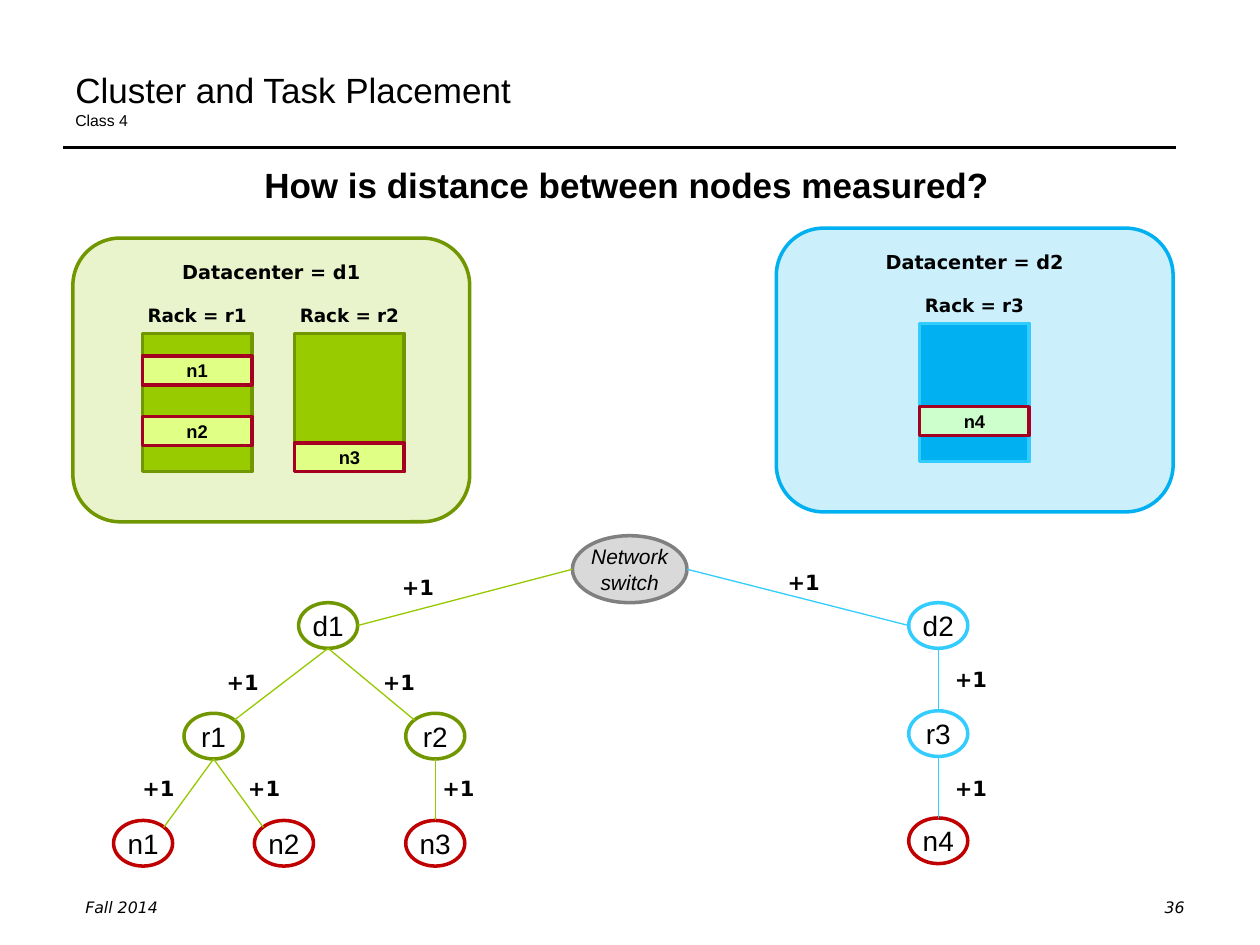
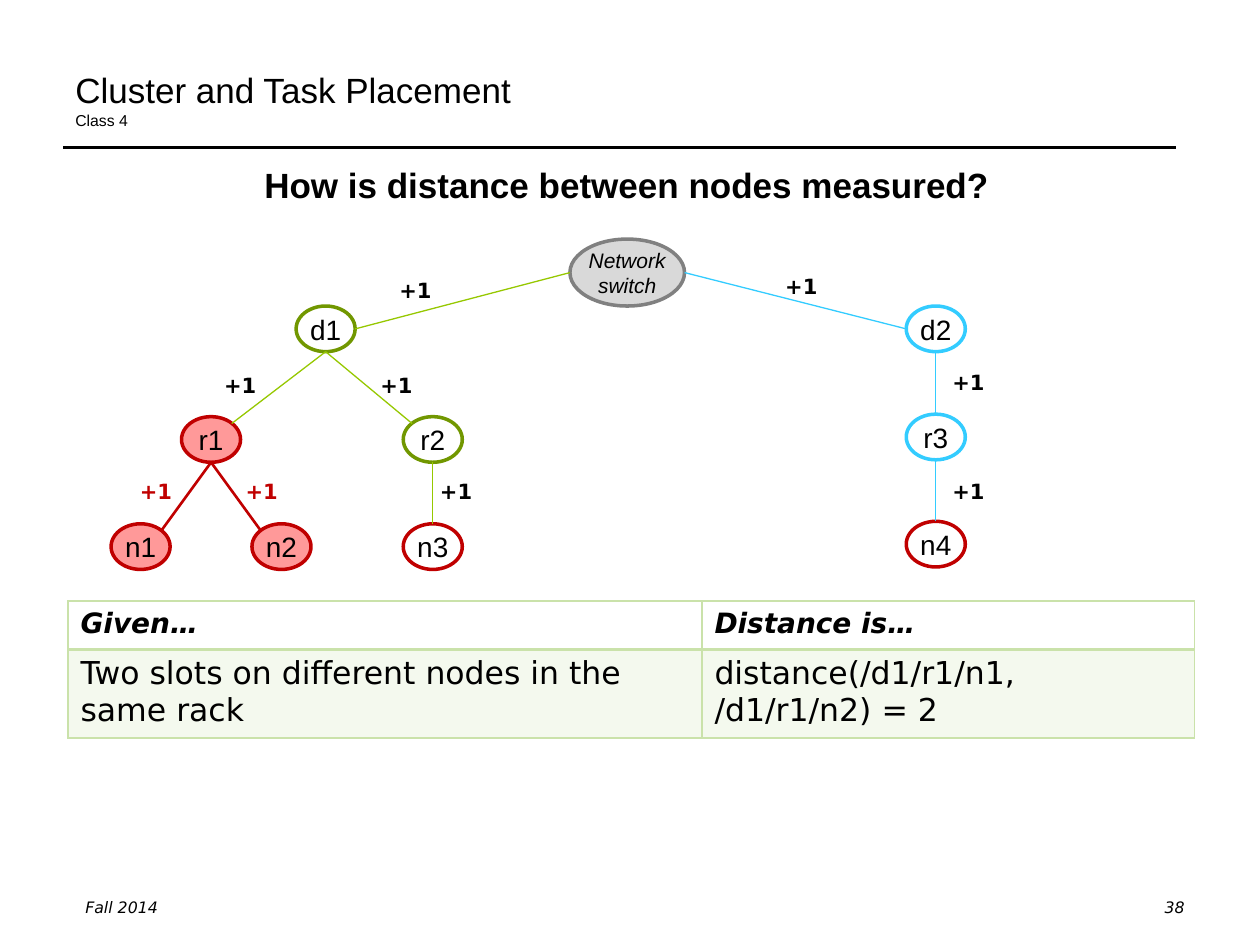
from lxml import etree
from pptx import Presentation
from pptx.dml.color import RGBColor
from pptx.enum.shapes import MSO_CONNECTOR, MSO_SHAPE
from pptx.enum.text import MSO_ANCHOR, PP_ALIGN
from pptx.oxml.ns import qn
from pptx.util import Cm, Pt

STRAIGHT = MSO_CONNECTOR.STRAIGHT
ELLIPSE = MSO_SHAPE.OVAL
RECTANGLE = MSO_SHAPE.RECTANGLE
ROUNDED = MSO_SHAPE.ROUNDED_RECTANGLE
LEFT, CENTER, RIGHT = PP_ALIGN.LEFT, PP_ALIGN.CENTER, PP_ALIGN.RIGHT
BOTTOM = MSO_ANCHOR.BOTTOM

BLACK = RGBColor(0x00, 0x00, 0x00)
WHITE = RGBColor(0xFF, 0xFF, 0xFF)
LIME = RGBColor(0x99, 0xCC, 0x00)
OLIVE = RGBColor(0x71, 0x97, 0x00)
EDGE_GREEN = RGBColor(0x96, 0xC8, 0x00)
BLUE = RGBColor(0x00, 0xB0, 0xF0)
SKY = RGBColor(0x33, 0xCC, 0xFF)
PALE_LIME = RGBColor(0xE0, 0xFF, 0x85)
PALE_GREEN = RGBColor(0xCC, 0xFF, 0xCC)
MAROON = RGBColor(0xA5, 0x00, 0x21)
RED = RGBColor(0xC0, 0x00, 0x00)
PINK = RGBColor(0xFF, 0x99, 0x99)
LIGHT_GRAY = RGBColor(0xD9, 0xD9, 0xD9)
GRAY = RGBColor(0x80, 0x80, 0x80)
TABLE_GREEN = RGBColor(0xCA, 0xE2, 0xAA)

SANS = "Arial"
WIDE = "DejaVu Sans"
TRANSLUCENT = "20000"


def write(frame, text, font, size, align=LEFT, bold=False, italic=False, color=BLACK):
    frame.text = text
    frame.word_wrap = True
    for paragraph in frame.paragraphs:
        paragraph.alignment = align
        for run in paragraph.runs:
            run.font.name = font
            run.font.size = Pt(size)
            run.font.bold = bold
            run.font.italic = italic
            run.font.color.rgb = color


def add_outlined(slide, kind, left, top, width, height, fill, line):
    shape = slide.shapes.add_shape(kind, Cm(left), Cm(top), Cm(width), Cm(height))
    shape.shadow.inherit = False
    shape.fill.solid()
    shape.fill.fore_color.rgb = fill
    shape.line.color.rgb = line
    shape.line.width = Pt(2)
    return shape


NODE_WIDTH, NODE_HEIGHT = 1.19, 0.92
SWITCH = "Network\nswitch"
TREE_NODES = {
    SWITCH: (9.25, 0, GRAY),
    "d1": (3.73, 1.35, OLIVE),
    "r1": (1.42, 3.58, OLIVE),
    "r2": (5.89, 3.58, OLIVE),
    "n1": (0, 5.74, RED),
    "n2": (2.84, 5.74, RED),
    "n3": (5.89, 5.74, RED),
    "d2": (16.03, 1.35, SKY),
    "r3": (16.03, 3.53, SKY),
    "n4": (16.03, 5.69, RED),
}

TOP, FOOT = (0.5, 0), (0.5, 1)
WEST, EAST = (0, 0.5), (1, 0.5)
NORTHWEST, NORTHEAST = (0.15, 0.15), (0.85, 0.15)
TREE_EDGES = [
    (SWITCH, WEST, "d1", EAST, EDGE_GREEN, 5.56, 0.66),
    ("d1", FOOT, "r1", NORTHEAST, EDGE_GREEN, 2.03, 2.57),
    ("d1", FOOT, "r2", NORTHWEST, EDGE_GREEN, 5.18, 2.57),
    ("r1", FOOT, "n1", NORTHEAST, EDGE_GREEN, 0.33, 4.7),
    ("r1", FOOT, "n2", NORTHWEST, EDGE_GREEN, 2.46, 4.7),
    ("r2", FOOT, "n3", TOP, EDGE_GREEN, 6.38, 4.7),
    (SWITCH, EAST, "d2", WEST, SKY, 13.34, 0.56),
    ("d2", FOOT, "r3", TOP, SKY, 16.71, 2.51),
    ("r3", FOOT, "n4", TOP, SKY, 16.71, 4.7),
]

SLIDES = [
    ("36", 2.29, 10.8, set()),
    ("38", 2.24, 4.82, {"r1", "n1", "n2"}),
]

prs = Presentation()
prs.slide_width = Cm(25.4)
prs.slide_height = Cm(19.05)
blank = prs.slide_layouts[6]

for number, tree_left, tree_top, highlighted in SLIDES:
    slide = prs.slides.add_slide(blank)

    rule = slide.shapes.add_connector(STRAIGHT, Cm(1.27), Cm(2.97), Cm(23.7), Cm(2.97))
    rule.line.color.rgb = BLACK
    rule.line.width = Pt(1.5)
    etree.SubElement(rule._element.spPr, qn("a:effectLst"))

    heading = slide.shapes.add_textbox(Cm(1.27), Cm(0.76), Cm(22.86), Cm(1.98)).text_frame
    write(heading, "Cluster and Task Placement\vClass 4", SANS, 20)
    heading.vertical_anchor = BOTTOM
    heading.paragraphs[0].runs[1].font.size = Pt(9)

    question = slide.shapes.add_textbox(Cm(1.27), Cm(3.18), Cm(22.73), Cm(1.12)).text_frame
    write(question, "How is distance between nodes measured?", SANS, 20, CENTER, bold=True)
    question.paragraphs[0].space_before = Pt(2)

    for text, left, width, align in [("Fall 2014", 1.47, 5.72, LEFT), (number, 18.21, 5.92, RIGHT)]:
        footer = slide.shapes.add_textbox(Cm(left), Cm(17.98), Cm(width), Cm(0.64))
        write(footer.text_frame, text, WIDE, 9, align, italic=True)

    bounds = {}
    for name, (dx, dy, outline) in TREE_NODES.items():
        is_switch = name == SWITCH
        width, height = (2.31, 1.35) if is_switch else (NODE_WIDTH, NODE_HEIGHT)
        fill = LIGHT_GRAY if is_switch else WHITE
        if name in highlighted:
            fill, outline = PINK, RED
        left, top = tree_left + dx, tree_top + dy
        bounds[name] = left, top, width, height
        node = add_outlined(slide, ELLIPSE, left, top, width, height, fill, outline)
        node.text_frame.margin_left = node.text_frame.margin_right = 0
        write(node.text_frame, name, SANS, 12 if is_switch else 16, CENTER, italic=is_switch)

    for parent, exit_site, child, entry_site, color, label_dx, label_dy in TREE_EDGES:
        ends = []
        for name, (across, down) in [(parent, exit_site), (child, entry_site)]:
            left, top, width, height = bounds[name]
            ends += [Cm(left + across * width), Cm(top + down * height)]
        on_route = {parent, child} <= highlighted
        edge = slide.shapes.add_connector(STRAIGHT, *ends)
        edge.line.color.rgb = RED if on_route else color
        edge.line.width = Pt(1.5 if on_route else 0.75)
        etree.SubElement(edge._element.spPr, qn("a:effectLst"))
        cost = slide.shapes.add_textbox(
            Cm(tree_left + label_dx), Cm(tree_top + label_dy), Cm(1.32), Cm(0.76))
        write(cost.text_frame, "+1", WIDE, 12, bold=True, color=RED if on_route else BLACK)

placement_slide, distance_slide = prs.slides

DATACENTERS = [
    ("d1", 1.47, 4.8, LIME, OLIVE, OLIVE, PALE_LIME,
     [("r1", 1.4, [("n1", 0.46), ("n2", 1.68)]), ("r2", 4.47, [("n3", 2.21)])]),
    ("d2", 15.65, 4.6, BLUE, BLUE, SKY, PALE_GREEN,
     [("r3", 2.89, [("n4", 1.68)])]),
]
PANEL_WIDTH, PANEL_HEIGHT = 8, 5.72
RACK_WIDTH, RACK_HEIGHT = 2.21, 2.79

for center, left, top, fill, outline, rack_outline, slot_fill, racks in DATACENTERS:
    panel = add_outlined(placement_slide, ROUNDED, left, top, PANEL_WIDTH, PANEL_HEIGHT, fill, outline)
    panel_color = panel._element.spPr.find(qn("a:solidFill"))[0]
    etree.SubElement(panel_color, qn("a:alpha"), val=TRANSLUCENT)
    caption = placement_slide.shapes.add_textbox(Cm(left), Cm(top + 0.32), Cm(PANEL_WIDTH), Cm(0.74))
    write(caption.text_frame, f"Datacenter = {center}", WIDE, 11, CENTER, bold=True)
    rack_top = top + 1.92
    for rack, dx, slots in racks:
        rack_left = left + dx
        add_outlined(placement_slide, RECTANGLE, rack_left, rack_top,
                     RACK_WIDTH, RACK_HEIGHT, fill, rack_outline)
        caption = placement_slide.shapes.add_textbox(
            Cm(rack_left - 0.23), Cm(rack_top - 0.71), Cm(RACK_WIDTH + 0.46), Cm(0.71))
        write(caption.text_frame, f"Rack = {rack}", WIDE, 10.5, CENTER, bold=True)
        for name, dy in slots:
            slot = add_outlined(placement_slide, RECTANGLE, rack_left, rack_top + dy,
                                RACK_WIDTH, 0.58, slot_fill, MAROON)
            write(slot.text_frame, name, SANS, 10.5, CENTER, bold=True)

DISTANCES = [
    ("Given…", "Distance is…"),
    ("Two slots on different nodes in the same rack", "distance(/d1/r1/n1, /d1/r1/n2) = 2"),
]
distances = distance_slide.shapes.add_table(2, 2, Cm(1.37), Cm(12.12), Cm(22.71), Cm(2.76)).table
distances.horz_banding = False
for column, width in zip(distances.columns, (12.78, 9.93)):
    column.width = Cm(width)
for row, height in zip(distances.rows, (0.97, 1.79)):
    row.height = Cm(height)

for r, texts in enumerate(DISTANCES):
    is_header = r == 0
    for c, text in enumerate(texts):
        cell = distances.cell(r, c)
        write(cell.text_frame, text, WIDE, 16 if is_header else 18, bold=is_header, italic=is_header)
        properties = cell._tc.get_or_add_tcPr()
        for side in ("lnL", "lnR", "lnT", "lnB"):
            is_divider = side == ("lnB" if is_header else "lnT")
            border = etree.SubElement(properties, qn(f"a:{side}"), w=str(Pt(2 if is_divider else 1)))
            border_fill = etree.SubElement(border, qn("a:solidFill"))
            etree.SubElement(border_fill, qn("a:srgbClr"), val=str(TABLE_GREEN))
        if is_header:
            cell.fill.background()
        else:
            cell.fill.solid()
            cell.fill.fore_color.rgb = TABLE_GREEN
            cell_color = properties.find(qn("a:solidFill"))[0]
            etree.SubElement(cell_color, qn("a:alpha"), val=TRANSLUCENT)

prs.save("out.pptx")
